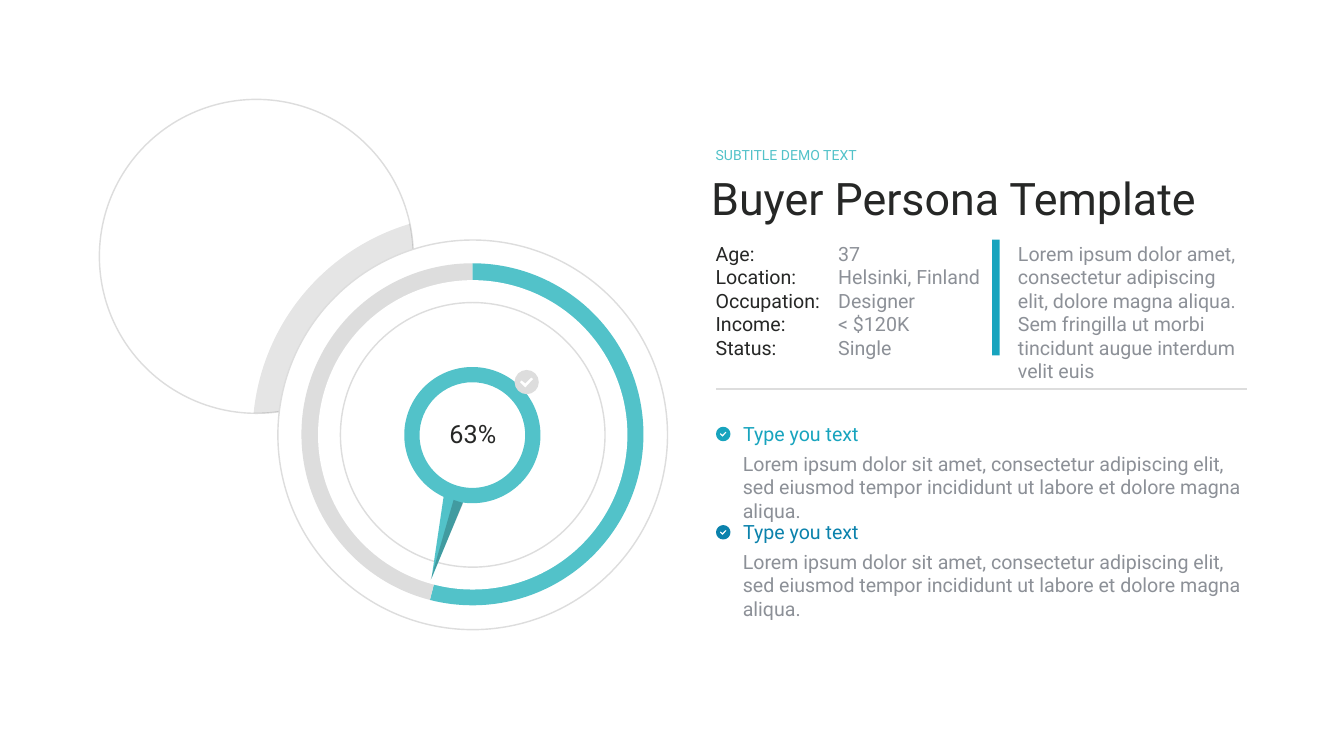
"""Build a buyer persona slide with a percentage dial, a profile and two checked points."""
import math

from lxml import etree
from pptx import Presentation, util as u
from pptx.chart import data
from pptx.dml.color import RGBColor
from pptx.enum import chart as charts, shapes, text
from pptx.oxml import ns

WHITE = RGBColor(0xFF, 0xFF, 0xFF)
BLACK = RGBColor(0x00, 0x00, 0x00)
INK = RGBColor(0x26, 0x27, 0x26)
GREY = RGBColor(0x8C, 0x90, 0x97)
SILVER = RGBColor(0xDD, 0xDD, 0xDD)
TEAL = RGBColor(0x52, 0xC2, 0xC9)
CYAN = RGBColor(0x18, 0xA4, 0xBE)
BLUE = RGBColor(0x0B, 0x82, 0xAC)

presentation = Presentation()
presentation.slide_width = u.Pt(1920)
presentation.slide_height = u.Pt(1080)
slide = presentation.slides.add_slide(presentation.slide_layouts[3])
title, labels, values = slide.placeholders


def write(content, left, top, width, height, shape=None, size=28, color=GREY,
          align=text.PP_ALIGN.LEFT):
    """Write the lines of content into a given shape or a new text box."""
    box = [u.Pt(length) for length in (left, top, width, height)]
    shape = shape or slide.shapes.add_textbox(*box)
    shape.left, shape.top, shape.width, shape.height = box
    frame = shape.text_frame
    frame.text = content
    frame.word_wrap = True
    frame.auto_size = text.MSO_AUTO_SIZE.NONE
    frame.vertical_anchor = text.MSO_ANCHOR.TOP
    frame.margin_left = frame.margin_right = u.Pt(7.2)
    frame.margin_top = frame.margin_bottom = u.Pt(7.2)
    for paragraph in frame.paragraphs:
        if shape.is_placeholder:
            properties = paragraph._p.get_or_add_pPr()
            properties.set("marL", "0")
            properties.set("indent", "0")
            etree.SubElement(properties, ns.qn("a:buNone"))
        paragraph.space_before = u.Pt(0)
        paragraph.alignment = align
        paragraph.font.name = "Roboto"
        paragraph.font.size = u.Pt(size)
        paragraph.font.color.rgb = color


def draw(fill=None, box=None, contours=(), kind=shapes.MSO_SHAPE.OVAL, line=None, alpha=None):
    """Draw a preset in a box, or contours made of (x, y) points and (x, y, radius, start, end) arcs."""
    if box:
        shape = slide.shapes.add_shape(kind, *[u.Pt(length) for length in box])
    else:
        builder, curve_starts, line_count = None, [], 0
        for contour in contours:
            points = []
            for x, y, *arc in contour:
                radius, start, end = arc or (0, 0, 0)
                count = math.ceil(abs(end - start) / 45)
                step = math.radians(end - start) / max(count, 1)
                handle = 4 / 3 * math.tan(step / 4)
                for index in range(count + 1):
                    angle = math.radians(start) + index * step
                    cosine, sine = radius * math.cos(angle), radius * math.sin(angle)
                    if index:
                        points.append((x + cosine + handle * sine, y + sine - handle * cosine))
                    points.append((x + cosine, y + sine))
                    if index < count:
                        curve_starts.append(line_count + len(points) - 1)
                        points.append((x + cosine - handle * sine, y + sine + handle * cosine))
            points = [(u.Pt(x), u.Pt(y)) for x, y in points]
            if builder:
                builder.move_to(*points[0])
            else:
                builder = slide.shapes.build_freeform(*points[0])
            builder.add_line_segments(points[1:], close=True)
            line_count += len(points) - 1
        shape = builder.convert_to_shape()
        lines = list(shape._element.iter(ns.qn("a:lnTo")))
        for start in curve_starts:
            curve = etree.Element(ns.qn("a:cubicBezTo"))
            lines[start].addprevious(curve)
            for segment in lines[start:start + 3]:
                curve.append(segment[0])
                segment.getparent().remove(segment)
    shape.shadow.inherit = False
    if fill:
        shape.fill.solid()
        shape.fill.fore_color.rgb = fill
    else:
        shape.fill.background()
    if alpha:
        color = shape.fill._xPr.find(".//" + ns.qn("a:srgbClr"))
        etree.SubElement(color, ns.qn("a:alpha"), val=str(alpha * 1000))
    if line:
        shape.line.color.rgb = line
        shape.line.width = u.Pt(2)
    else:
        shape.line.fill.background()
    return shape


center_x, center_y = 675.3, 621.2
draw(WHITE, (142, 142, 448.5, 448.5), line=SILVER)
draw(BLACK, alpha=10, contours=[[(center_x, center_y, 314.5, 185.6, 253.3),
                                 (366.2, 366.2, 224.2, -12, 90.8)]])
draw(WHITE, (center_x - 278.3, center_y - 278.3, 556.6, 556.6), line=SILVER)

chart_data = data.CategoryChartData()
chart_data.categories = ["1", "2"]
chart_data.add_series("Series 1", (54, 46))
chart = slide.shapes.add_chart(
    charts.XL_CHART_TYPE.PIE, u.Pt(427.7), u.Pt(373.7), u.Pt(494.6), u.Pt(494.6), chart_data).chart
chart.has_title = False
chart.has_legend = False
chart.font.name = "Calibri"
chart.font.size = u.Pt(10)
chart.font.color.rgb = INK
plot = chart.plots[0]
plot.vary_by_categories = False
for index, color in enumerate((TEAL, SILVER)):
    point = plot.series[0].points[index]
    point.format.fill.solid()
    point.format.fill.fore_color.rgb = color
    point.format.line.fill.background()
plot_area = chart.element.find(".//" + ns.qn("c:plotArea"))
for layout in plot_area.findall(ns.qn("c:layout")):
    plot_area.remove(layout)
layout = etree.Element(ns.qn("c:layout"))
plot_area.insert(0, layout)
manual = etree.SubElement(layout, ns.qn("c:manualLayout"))
for name, value in (("layoutTarget", "inner"), ("xMode", "edge"), ("yMode", "edge"),
                    ("x", "0.005"), ("y", "0.005"), ("w", "0.99"), ("h", "0.988")):
    etree.SubElement(manual, ns.qn("c:" + name), val=value)

for radius, line in ((221, None), (189, SILVER)):
    draw(WHITE, (center_x - radius, center_y - radius, 2 * radius, 2 * radius), line=line)
draw(TEAL, contours=[[(616.3, 827), (674.8, 621.6, 97.3, 98, -245)],
                     [(674.8, 621.6, 75.5, 0, 360)]])
draw(BLACK, alpha=20, contours=[[(615, 828.7), (648, 714.2), (661.7, 718.6)]])
write("63%", 605.5, 590.4, 140, 52.6, size=36, color=INK, align=text.PP_ALIGN.CENTER)

write("Buyer Persona Template", 1008.7, 236.2, 767.5, 92.2, shape=title, size=64, color=INK)
write("SUBTITLE DEMO TEXT", 1015.2, 202.3, 539.3, 38.9, size=20, color=TEAL)
write("Age:\nLocation:\nOccupation:\nIncome:\nStatus:",
      1015.2, 337.7, 176.4, 184.3, shape=labels, color=INK)
write("37\nHelsinki, Finland\nDesigner\n< $120K\nSingle",
      1190.2, 337.7, 225.4, 184.3, shape=values)
write("Lorem ipsum dolor amet, consectetur adipiscing elit, dolore magna aliqua. "
      "Sem fringilla ut morbi tincidunt augue interdum velit euis", 1447.2, 337.7, 336.2, 184.3)
draw(CYAN, (1417.2, 342.2, 10.8, 165.6), kind=shapes.MSO_SHAPE.RECTANGLE)

divider = slide.shapes.add_connector(
    shapes.MSO_CONNECTOR.STRAIGHT, u.Pt(1023.2), u.Pt(555.9), u.Pt(1780.8), u.Pt(555.9))
divider.line.color.rgb = SILVER
divider.line.width = u.Pt(2)
etree.SubElement(divider._element.spPr, ns.qn("a:effectLst"))

check = ((0.54, -0.25), (-0.12, 0.46), (-0.58, 0), (-0.42, -0.14), (-0.12, 0.1), (0.38, -0.38))
for x, y, radius, scale, color in ((752.4, 545.8, 17.3, 17.3, SILVER),
                                   (1033.2, 620, 10.3, 9, CYAN), (1033.2, 760.4, 10.3, 9, BLUE)):
    draw(color, contours=[[(x, y, radius, 0, 360)],
                          [(x + scale * dx, y + scale * dy) for dx, dy in check]])

lorem = ("Lorem ipsum dolor sit amet, consectetur adipiscing elit, sed eiusmod tempor "
         "incididunt ut labore et dolore magna aliqua.")
for top, body_width, heading_color in ((595.4, 746, CYAN), (735.8, 751, BLUE)):
    for content, left, y, width, height, color in (
            ("Type you text", 1054.6, top, 229, 48.2, heading_color),
            (lorem, 1054.1, top + 42.5, body_width, 82, GREY)):
        right, bottom = left + width, y + height
        panel = draw(contours=[[(left, y), (right, y), (right, bottom), (left, bottom)]])
        write(content, left, y, width, height, shape=panel, color=color)

presentation.save("out.pptx")
